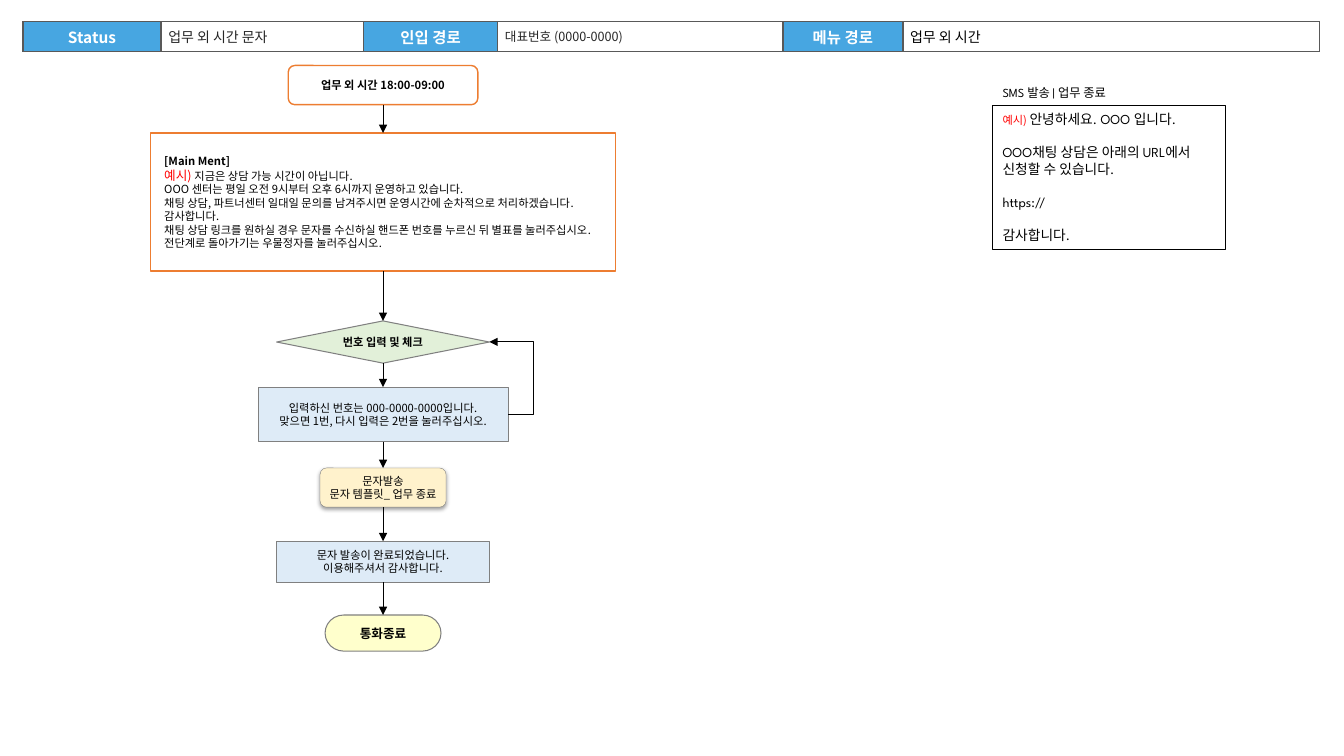
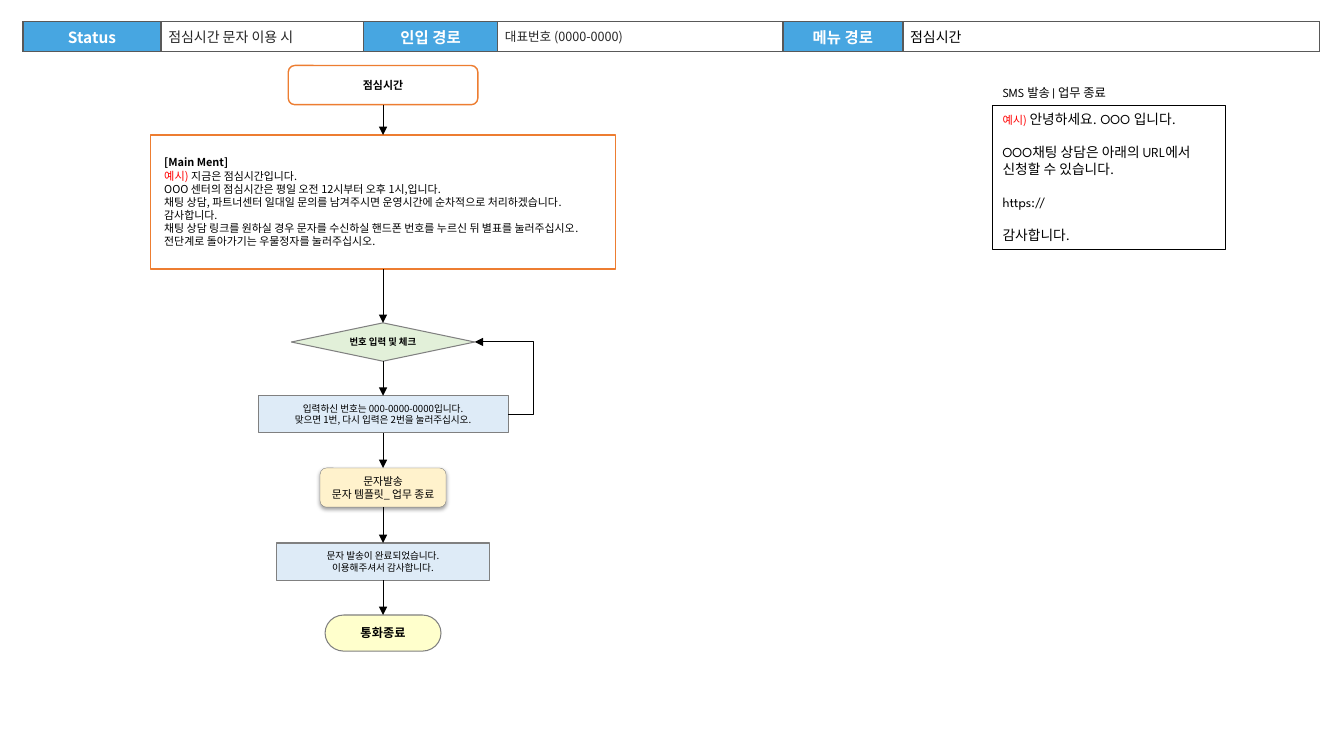
from lxml import etree
from pptx import Presentation
from pptx.dml.color import RGBColor
from pptx.enum.shapes import MSO_CONNECTOR, MSO_SHAPE
from pptx.enum.text import MSO_ANCHOR, PP_ALIGN
from pptx.oxml.ns import qn
from pptx.util import Pt

RECT = MSO_SHAPE.RECTANGLE
PROCESS = MSO_SHAPE.FLOWCHART_ALTERNATE_PROCESS
DECISION = MSO_SHAPE.FLOWCHART_DECISION
TERMINATOR = MSO_SHAPE.FLOWCHART_TERMINATOR
STRAIGHT, ELBOW = MSO_CONNECTOR.STRAIGHT, MSO_CONNECTOR.ELBOW
LEFT, CENTER = PP_ALIGN.LEFT, PP_ALIGN.CENTER
TOP, MIDDLE = MSO_ANCHOR.TOP, MSO_ANCHOR.MIDDLE
BOTTOM_SITE, RIGHT_SITE = 2, 3

BODY, ACCENT = "Noto Sans CJK KR", "League Spartan"
BLACK, WHITE, RED, DARK = "000000", "FFFFFF", "FF0000", "262626"
ORANGE, GRAY, BORDER, HEADER = "ED7D31", "808080", "595959", "47A6E1"
GREEN, BLUE, CREAM, YELLOW = "E2F0D9", "DEEBF7", "FFF2CC", "FFFFCC"

HEADER_BOX = (16.4, 15.6, 925.9, 21)
HEADER_COLS = (98.6, 144.7, 95.8, 203.8, 85.7, 297.3)
FLOW_BOX = (107.3, 46.8)
FLOW_WIDTH = 332.6
SMS_BOX = (709, 75.6, 166.6, 102.6)
LOOP_REACH = 18


def rgb(color):
    return RGBColor.from_string(color)


def add_runs(p, runs):
    for text, fmt in runs:
        r = p.add_run()
        r.text = text
        values = {"name": BODY, "size": 8, "color": BLACK, "bold": False} | fmt
        r.font.color.rgb = rgb(values.pop("color"))
        values["size"] = Pt(values["size"])
        for key, value in values.items():
            setattr(r.font, key, value)
        etree.SubElement(r.font._element, qn("a:ea"), typeface=BODY)


def write(tf, paragraphs, align=LEFT, gap=0):
    for i, runs in enumerate(paragraphs):
        p = tf.paragraphs[0] if i == 0 else tf.add_paragraph()
        p.alignment = align
        if i and gap:
            p.space_before = Pt(gap)
        add_runs(p, runs)


def set_frame(tf, anchor, insets, wrap):
    left, top = insets
    values = {"vertical_anchor": anchor, "word_wrap": wrap,
              "margin_left": Pt(left), "margin_right": Pt(left),
              "margin_top": Pt(top), "margin_bottom": Pt(top)}
    for key, value in values.items():
        setattr(tf, key, value)


def add_box(s, kind, box, fill, line, width, paragraphs, align=CENTER,
            anchor=MIDDLE, insets=(7.2, 3.6), wrap=False, gap=0):
    sp = s.shapes.add_shape(kind, *map(Pt, box))
    sp.shadow.inherit = False
    if fill:
        sp.fill.solid()
        sp.fill.fore_color.rgb = rgb(fill)
    else:
        sp.fill.background()
    sp.line.color.rgb = rgb(line)
    sp.line.width = Pt(width)
    set_frame(sp.text_frame, anchor, insets, wrap)
    write(sp.text_frame, paragraphs, align, gap)
    return sp


def add_soft_shadow(sp):
    effects = sp._element.spPr.find(qn("a:effectLst"))
    shadow = etree.SubElement(effects, qn("a:outerShdw"), blurRad=str(Pt(3.1)),
                              dist=str(Pt(1.6)), dir="5400000", rotWithShape="0")
    color = etree.SubElement(shadow, qn("a:srgbClr"), val=BLACK)
    etree.SubElement(color, qn("a:alpha"), val="38000")


def add_arrow(s, start, end, kind=STRAIGHT, sites=(BOTTOM_SITE, 0), width=0.75):
    cn = s.shapes.add_connector(kind, 0, 0, 0, 0)
    cn.begin_connect(start, sites[0])
    cn.end_connect(end, sites[1])
    cn.line.color.rgb = rgb(BLACK)
    cn.line.width = Pt(width)
    etree.SubElement(cn.line._get_or_add_ln(), qn("a:tailEnd"), type="triangle")
    spPr = cn._element.spPr
    etree.SubElement(spPr, qn("a:effectLst"))
    if kind == ELBOW:
        guides = spPr.find(qn("a:prstGeom")).find(qn("a:avLst"))
        adj = round(-100000 * Pt(LOOP_REACH) / cn.width)
        etree.SubElement(guides, qn("a:gd"), name="adj1", fmla=f"val {adj}")


def set_borders(cell):
    tcPr = cell._tc.get_or_add_tcPr()
    for i, side in enumerate(("lnL", "lnR", "lnT", "lnB")):
        ln = etree.Element(qn(f"a:{side}"), w=str(Pt(1)))
        fill = etree.SubElement(ln, qn("a:solidFill"))
        etree.SubElement(fill, qn("a:srgbClr"), val=BORDER)
        tcPr.insert(i, ln)


def header(s, box, status, menu):
    table = s.shapes.add_table(1, len(HEADER_COLS), *map(Pt, box)).table
    table.first_row = table.horz_banding = False
    label = {"size": 11, "color": WHITE, "bold": True}
    cells = (("Status", label), (status, {"size": 10, "color": DARK}),
             ("인입 경로", label), ("대표번호 (0000-0000)", {"size": 9, "color": DARK}),
             ("메뉴 경로", label), (menu, {"size": 10}))
    for i, (text, fmt) in enumerate(cells):
        table.columns[i].width = Pt(HEADER_COLS[i])
        cell = table.cell(0, i)
        for key, value in {"margin_left": Pt(5.2), "margin_right": Pt(5.2),
                           "margin_top": 0, "margin_bottom": 0,
                           "vertical_anchor": MIDDLE}.items():
            setattr(cell, key, value)
        is_label = fmt is label
        if is_label:
            cell.fill.solid()
            cell.fill.fore_color.rgb = rgb(HEADER)
        else:
            cell.fill.background()
        set_borders(cell)
        write(cell.text_frame, [[(text, fmt)]], CENTER if is_label else LEFT)


def flow(s, origin, title, ment, sizes, heights, decision_width):
    left, top = origin
    center = left + FLOW_WIDTH / 2

    def step(kind, mid, width, height, fill, line, weight, paragraphs, **options):
        box = (center - width / 2, top + mid - height / 2, width, height)
        return add_box(s, kind, box, fill, line, weight, paragraphs, **options)

    def lines(key, *texts, bold=False):
        return [[(text, {"size": sizes[key], "bold": bold})] for text in texts]

    intro, *rest = ment
    main_text = lines("main", "[Main Ment]", bold=True)
    main_text.append([("예시) ", {"size": sizes["example"], "color": RED}),
                      (intro, {"size": sizes["main"]})])
    main_text += lines("main", *rest)
    prompt = {"insets": (9.4, 4.8), "wrap": True}

    start = step(PROCESS, 14, 135.4, 28, WHITE, ORANGE, 1,
                 lines("main", title, bold=True))
    main = step(RECT, 97.5, FLOW_WIDTH, heights["main"], WHITE, ORANGE, 1, main_text,
                align=LEFT, insets=(10, 5), wrap=True)
    check = step(DECISION, 197.5, decision_width, heights["check"], GREEN, GRAY, 0.75,
                 lines("check", "번호 입력 및 체크", bold=True), insets=(6, 3))
    number = step(RECT, 249.2, 178.6, heights["number"], BLUE, GRAY, 0.75,
                  lines("prompt", "입력하신 번호는 000-0000-0000입니다.",
                        "맞으면 1번, 다시 입력은 2번을 눌러주십시오."), **prompt)
    send = step(PROCESS, 301.5, 90, 28, CREAM, GRAY, 0.25,
                lines("send", "문자발송", "문자 템플릿_ 업무 종료"))
    add_soft_shadow(send)
    done = step(RECT, 354.4, 152.8, heights["done"], BLUE, GRAY, 0.75,
                lines("prompt", "문자 발송이 완료되었습니다.", "이용해주셔서 감사합니다."),
                **prompt)
    finish = step(TERMINATOR, 405.4, 82.8, 25.8, YELLOW, GRAY, 0.75,
                  lines("finish", "통화종료", bold=True), insets=(5, 2.2))

    steps = (start, main, check, number, send, done, finish)
    for i, (above, below) in enumerate(zip(steps, steps[1:])):
        add_arrow(s, above, below, width=0.5 if i < 2 else 0.75)
    add_arrow(s, number, check, ELBOW, (RIGHT_SITE, RIGHT_SITE))


def sms(s, box):
    left, top, width, height = box
    tb = s.shapes.add_textbox(Pt(left), Pt(top - 18), Pt(101.5), Pt(18))
    set_frame(tb.text_frame, TOP, (7.2, 3.6), False)
    write(tb.text_frame, [[("SMS 발송 | 업무 종료", {"name": ACCENT, "size": 8.8})]])
    fmt = {"name": ACCENT, "size": 9.8}
    message = [[("예시) ", {"color": RED}), ("안녕하세요. OOO 입니다.", fmt)]]
    message += [[(text, fmt)] for text in
                ("OOO채팅 상담은 아래의 URL에서 신청할 수 있습니다.", "https://", "감사합니다.")]
    add_box(s, RECT, box, None, BLACK, 0.75, message, align=LEFT, anchor=TOP,
            wrap=True, gap=12)


def guide_slide(prs, status, menu, **flow_values):
    s = prs.slides.add_slide(prs.slide_layouts[6])
    flow(s, FLOW_BOX, **flow_values)
    sms(s, SMS_BOX)
    header(s, HEADER_BOX, status, menu)


def main():
    prs = Presentation()
    prs.slide_width, prs.slide_height = Pt(960), Pt(540)
    closing = ("채팅 상담, 파트너센터 일대일 문의를 남겨주시면 운영시간에 순차적으로 처리하겠습니다.",
               "감사합니다.",
               "채팅 상담 링크를 원하실 경우 문자를 수신하실 핸드폰 번호를 누르신 뒤 별표를 눌러주십시오.",
               "전단계로 돌아가기는 우물정자를 눌러주십시오.")
    guide_slide(
        prs, "업무 외 시간 문자", "업무 외 시간", title="업무 외 시간 18:00-09:00",
        ment=("지금은 상담 가능 시간이 아닙니다.",
              "OOO 센터는 평일 오전 9시부터 오후 6시까지 운영하고 있습니다.", *closing),
        sizes={"main": 8, "example": 9, "check": 8, "prompt": 8, "send": 8, "finish": 9},
        heights={"main": 98.6, "check": 30.2, "number": 38.9, "done": 29.2},
        decision_width=152)
    guide_slide(
        prs, "점심시간 문자 이용 시", "점심시간", title="점심시간",
        ment=("지금은 점심시간입니다.",
              "OOO 센터의 점심시간은 평일 오전 12시부터 오후 1시,입니다.", *closing),
        sizes={"main": 7.8, "example": 8, "check": 6.7, "prompt": 6.9, "send": 7.7,
               "finish": 8.7},
        heights={"main": 95.8, "check": 27.4, "number": 26.6, "done": 26.6},
        decision_width=131)
    prs.save("out.pptx")


if __name__ == "__main__":
    main()
